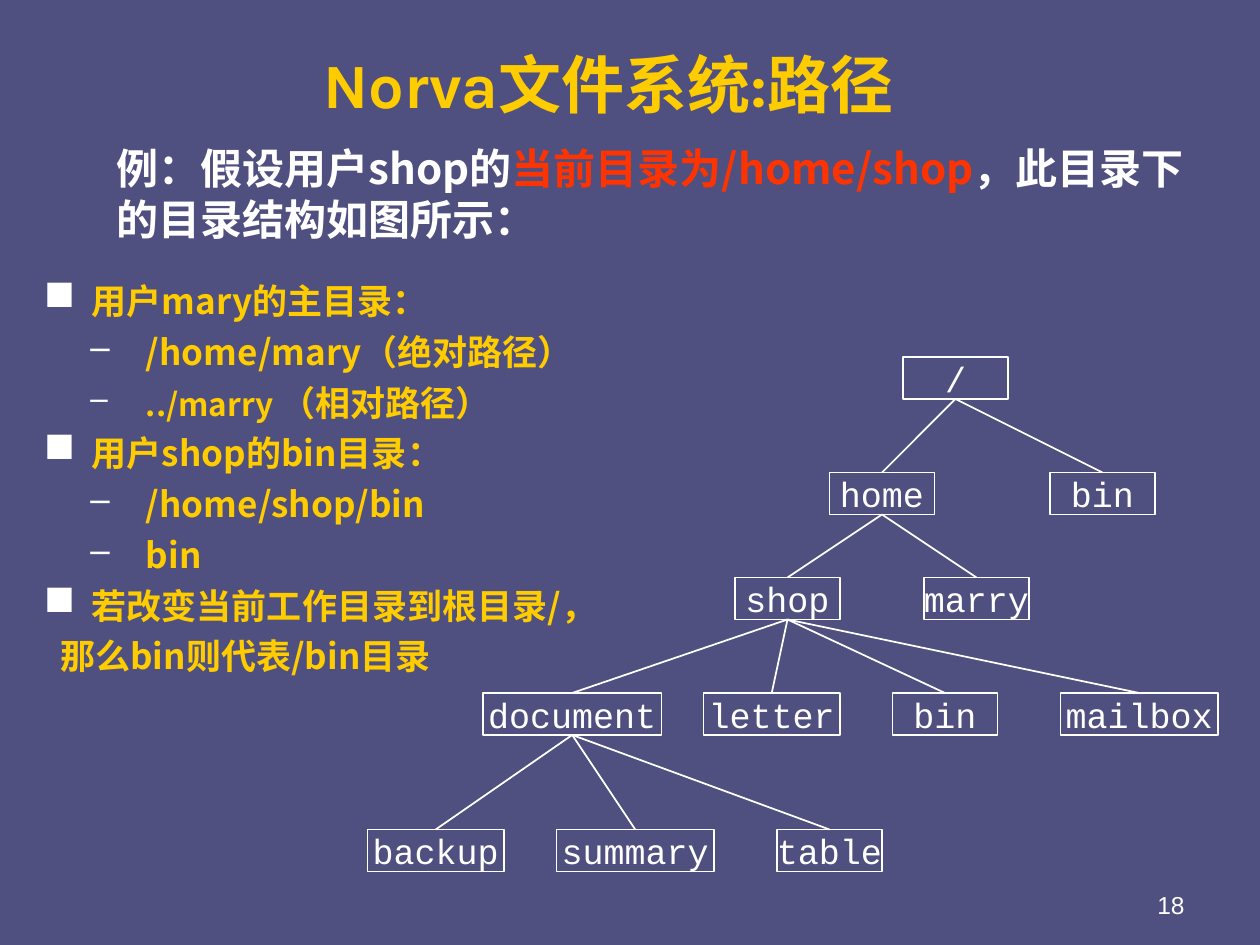
"""Build the file path slide: a list of examples beside a directory tree."""
from lxml import etree
from pptx import Presentation, util as u
from pptx.dml.color import RGBColor
from pptx.enum import shapes, text
from pptx.oxml.ns import qn

WHITE, GOLD, RED = "FFFFFF", "FFCC00", "FF3300"
HAN = "Noto Sans CJK SC"
TITLE = "Norva文件系统:路径"
INTRO = [("例：假设用户shop的", {}),
         ("当前目录为/home/shop", {"color": RED}),
         ("，此目录下的目录结构如图所示：", {})]
ITEMS = [
    ("head", [("用户mary的主目录：", {})]),
    ("sub", [("/home/mary（绝对路径）", {})]),
    ("sub", [("../marry ", {"size": 18}), ("（相对路径）", {})]),
    ("head", [("用户shop的bin目录：", {})]),
    ("sub", [("/home/shop/bin", {})]),
    ("sub", [("bin", {})]),
    ("head", [("若改变当前工作目录到根目录/，", {})]),
    ("more", [("那么bin则代表/bin目录", {})]),
]
STYLES = {"head": (0, 0.38, -0.38, "■", 120),
          "sub": (1, 0.81, -0.44, "–", 100),
          "more": (0, 0.13, 0, None, 100)}
GRID = 12
ROWS = [34, 45, 55, 66, 79]
TALL = 4
NODES = {
    "root": ("/", 0, 86, 10, None),
    "home": ("home", 1, 79, 10, "root"),
    "top bin": ("bin", 1, 100, 10, "root"),
    "shop": ("shop", 2, 70, 10, "home"),
    "marry": ("marry", 2, 88, 10, "home"),
    "document": ("document", 3, 46, 17, "shop"),
    "letter": ("letter", 3, 67, 13, "shop"),
    "shop bin": ("bin", 3, 85, 10, "shop"),
    "mailbox": ("mailbox", 3, 101, 15, "shop"),
    "backup": ("backup", 4, 35, 13, "document"),
    "summary": ("summary", 4, 53, 15, "document"),
    "table": ("table", 4, 74, 10, "document"),
}


def rgb(code):
    """Turn a hex string into a colour."""
    return RGBColor.from_string(code)


def write(para, runs, size, face, color=WHITE, bold=False, align="LEFT"):
    """Fill a paragraph with runs in one font."""
    para.alignment = getattr(text.PP_ALIGN, align)
    font = para.font
    font.size, font.name, font.bold = u.Pt(size), face, bold
    font.color.rgb = rgb(color)
    if face != "Courier New":
        base = para._p.pPr.find(qn("a:defRPr"))
        etree.SubElement(base, qn("a:ea"), typeface=HAN)
    for words, diff in runs:
        run = para.add_run()
        run.text = words
        if "color" in diff:
            run.font.color.rgb = rgb(diff["color"])
        if "size" in diff:
            run.font.size = u.Pt(diff["size"])


def indent(para, left, first, mark=None, scale=100):
    """Set the indents and the bullet of a paragraph."""
    props = para._p.get_or_add_pPr()
    props.set("marL", str(u.Inches(left)))
    props.set("indent", str(u.Inches(first)))
    if mark:
        hue = etree.SubElement(props, qn("a:buClr"))
        etree.SubElement(hue, qn("a:srgbClr"), val=WHITE)
        etree.SubElement(props, qn("a:buSzPct"), val=str(scale * 1000))
        etree.SubElement(props, qn("a:buChar"), char=mark)


def area(slide, left, top, width, height, anchor="TOP"):
    """Add a wrapping text box and return its frame."""
    frame = slide.shapes.add_textbox(
        *map(u.Inches, (left, top, width, height))).text_frame
    frame.word_wrap = True
    frame.vertical_anchor = getattr(text.MSO_ANCHOR, anchor)
    return frame


def node(slide, label, row, col, wide):
    """Add one outlined box of the tree."""
    place = [u.Inches(n / GRID) for n in (col, ROWS[row], wide, TALL)]
    box = slide.shapes.add_shape(shapes.MSO_SHAPE.RECTANGLE, *place)
    box.shadow.inherit = False
    box.fill.background()
    box.line.color.rgb = rgb(WHITE)
    box.line.width = u.Pt(1)
    frame = box.text_frame
    frame.word_wrap = False
    frame.vertical_anchor = text.MSO_ANCHOR.MIDDLE
    write(frame.paragraphs[0], [(label, {})], 20, "Courier New",
          align="CENTER")
    return box


def link(slide, above, below):
    """Join a parent box to a child box."""
    line = slide.shapes.add_connector(
        shapes.MSO_CONNECTOR.STRAIGHT, 0, 0, 0, 0)
    line.begin_connect(above, 2)
    line.end_connect(below, 0)
    line.line.color.rgb = rgb(WHITE)
    line.line.width = u.Pt(1)
    etree.SubElement(line._element.spPr, qn("a:effectLst"))


def main():
    """Build and save the slide."""
    deck = Presentation()
    deck.slide_width, deck.slide_height = u.Inches(10), u.Inches(7.5)
    slide = deck.slides.add_slide(deck.slide_layouts[6])
    slide.background.fill.solid()
    slide.background.fill.fore_color.rgb = rgb("505080")

    page = area(slide, 7.17, 6.83, 2.33, 0.52, "BOTTOM")
    write(page.paragraphs[0], [("18", {})], 14, "Arial", align="RIGHT")
    title = area(slide, 0.58, 0.33, 8.5, 0.67, "MIDDLE")
    write(title.paragraphs[0], [(TITLE, {})], 36, "Karla", GOLD, True,
          "CENTER")

    body = area(slide, 0.25, 2.17, 6.5, 5.33)
    for i, (kind, runs) in enumerate(ITEMS):
        para = body.add_paragraph() if i else body.paragraphs[0]
        level, *rest = STYLES[kind]
        para.level = level
        para.space_before, para.line_spacing = u.Pt(5), u.Pt(24)
        indent(para, *rest)
        write(para, runs, 20, HAN, GOLD, True)

    boxes = {}
    for key, (label, row, col, wide, above) in NODES.items():
        boxes[key] = node(slide, label, row, col, wide)
        if above:
            link(slide, boxes[above], boxes[key])

    intro = area(slide, 0.33, 1.08, 9.17, 0.9).paragraphs[0]
    intro.level = 1
    intro.line_spacing = u.Pt(29)
    indent(intro, 0.5, 0)
    write(intro, INTRO, 24, HAN, WHITE, True)
    deck.save("out.pptx")


if __name__ == "__main__":
    main()
